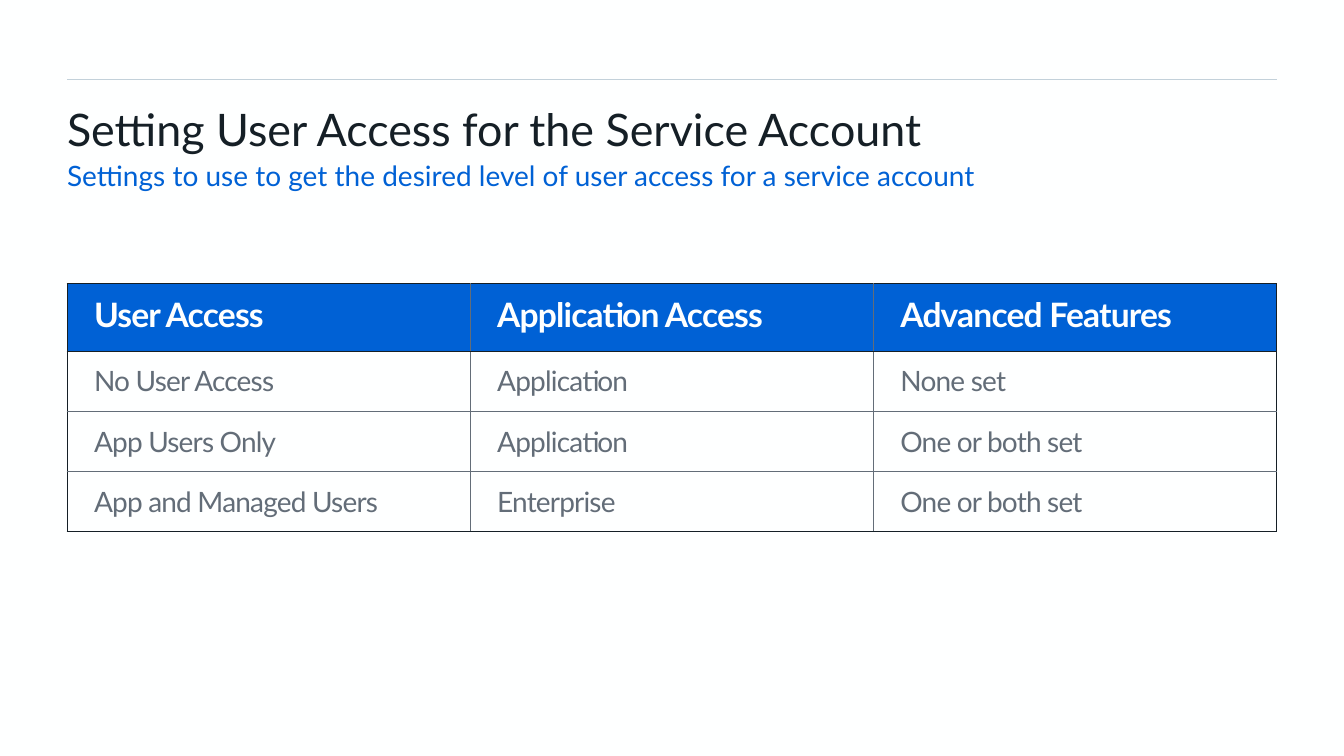
import pptx
import pptx.dml.color
import pptx.enum.shapes
import pptx.enum.text
import pptx.oxml
import pptx.oxml.ns
import pptx.util
from lxml import etree

Cm = pptx.util.Cm
Pt = pptx.util.Pt
RGBColor = pptx.dml.color.RGBColor
Anchor = pptx.enum.text.MSO_ANCHOR
qn = pptx.oxml.ns.qn

WHITE = RGBColor(0xFE, 0xFF, 0xFF)
INK = RGBColor(0x15, 0x1F, 0x26)
BLUE = RGBColor(0x00, 0x61, 0xD5)
GREY = RGBColor(0x63, 0x6D, 0x78)
RULE = RGBColor(0xC3, 0xD1, 0xDA)

LEFT, WIDTH = 1.69, 30.48
ACCESS_ROWS = [
    ("User Access", "Application Access", "Advanced Features"),
    ("No User Access", "Application", "None set"),
    ("App Users Only", "Application", "One or both set"),
    ("App and Managed Users", "Enterprise", "One or both set"),
]


class SlideBuilder:
    font = "Lato"
    line_width = Pt(0.5)

    def __init__(self, prs):
        self.slide = prs.slides.add_slide(prs.slide_layouts[5])
        fill = self.slide.background.fill
        fill.solid()
        fill.fore_color.rgb = WHITE

    def style(self, p, size, color, bold=False, spacing=0):
        for r in p.runs:
            r.font.name = self.font
            r.font.size = Pt(size)
            r.font.bold = bold
            r.font.color.rgb = color
            if spacing:
                r.font._element.set("spc", str(spacing))

    def text(self, sp, text, top, height, size, color, anchor):
        sp.left, sp.top, sp.width, sp.height = Cm(LEFT), Cm(top), Cm(WIDTH), Cm(height)
        tf = sp.text_frame
        tf.text = text
        tf.word_wrap = True
        tf.auto_size = pptx.enum.text.MSO_AUTO_SIZE.NONE
        tf.vertical_anchor = anchor
        tf.margin_left = tf.margin_top = tf.margin_right = tf.margin_bottom = 0
        p = tf.paragraphs[0]
        p.alignment = pptx.enum.text.PP_ALIGN.LEFT
        self.style(p, size, color)

    def title(self, text, top, height):
        self.text(self.slide.shapes.title, text, top, height, 32, INK, Anchor.MIDDLE)

    def subtitle(self, text, top, height):
        sp = self.slide.shapes.add_textbox(0, 0, 0, 0)
        self.text(sp, text, top, height, 20, BLUE, Anchor.TOP)

    def rule(self, top):
        line = self.slide.shapes.add_connector(
            pptx.enum.shapes.MSO_CONNECTOR.STRAIGHT,
            Cm(LEFT), Cm(top), Cm(LEFT + WIDTH), Cm(top))
        line.line.color.rgb = RULE
        line.line.width = self.line_width
        etree.SubElement(line._element.spPr, qn("a:effectLst"))

    def borders(self, cell, colors):
        tcPr = cell._tc.get_or_add_tcPr()
        for i, (side, color) in enumerate(zip("LRTB", colors)):
            ln = etree.Element(qn(f"a:ln{side}"), w=str(self.line_width))
            fill = etree.SubElement(ln, qn("a:solidFill"))
            etree.SubElement(fill, qn("a:srgbClr"), val=str(color))
            tcPr.insert(i, ln)

    def table(self, rows, top, heights):
        n_rows, n_cols = len(rows), len(rows[0])
        table = self.slide.shapes.add_table(
            n_rows, n_cols, Cm(LEFT), Cm(top), Cm(WIDTH), Cm(sum(heights))).table
        for column in table.columns:
            column.width = Cm(WIDTH / n_cols)
        for i, (texts, height) in enumerate(zip(rows, heights)):
            table.rows[i].height = Cm(height)
            for j, text in enumerate(texts):
                self.cell(table.cell(i, j), text, header=i == 0)
                outer = (j == 0, j == n_cols - 1, i <= 1, i in (0, n_rows - 1))
                self.borders(table.cell(i, j), [INK if edge else GREY for edge in outer])

    def cell(self, cell, text, header):
        cell.text = text
        cell.vertical_anchor = Anchor.MIDDLE
        cell.margin_left, cell.margin_right = Cm(0.68), Cm(0.36)
        cell.margin_top = cell.margin_bottom = Cm(0.33)
        p = cell.text_frame.paragraphs[0]
        if header:
            cell.fill.solid()
            cell.fill.fore_color.rgb = BLUE
            p.line_spacing = 0.9
            self.style(p, 24, WHITE, bold=True, spacing=-60)
        else:
            cell.fill.background()
            self.style(p, 20, GREY, spacing=-60)


def main():
    prs = pptx.Presentation()
    prs.slide_width, prs.slide_height = Cm(33.87), Cm(19.05)
    s = SlideBuilder(prs)
    s.rule(2)
    s.table(ACCESS_ROWS, 7.14, [1.7, 1.52, 1.52, 1.52])
    s.title("Setting User Access for the Service Account", 2.48, 1.52)
    s.subtitle("Settings to use to get the desired level of user access for a service account", 3.99, 1.4)
    prs.save("out.pptx")


if __name__ == "__main__":
    main()
